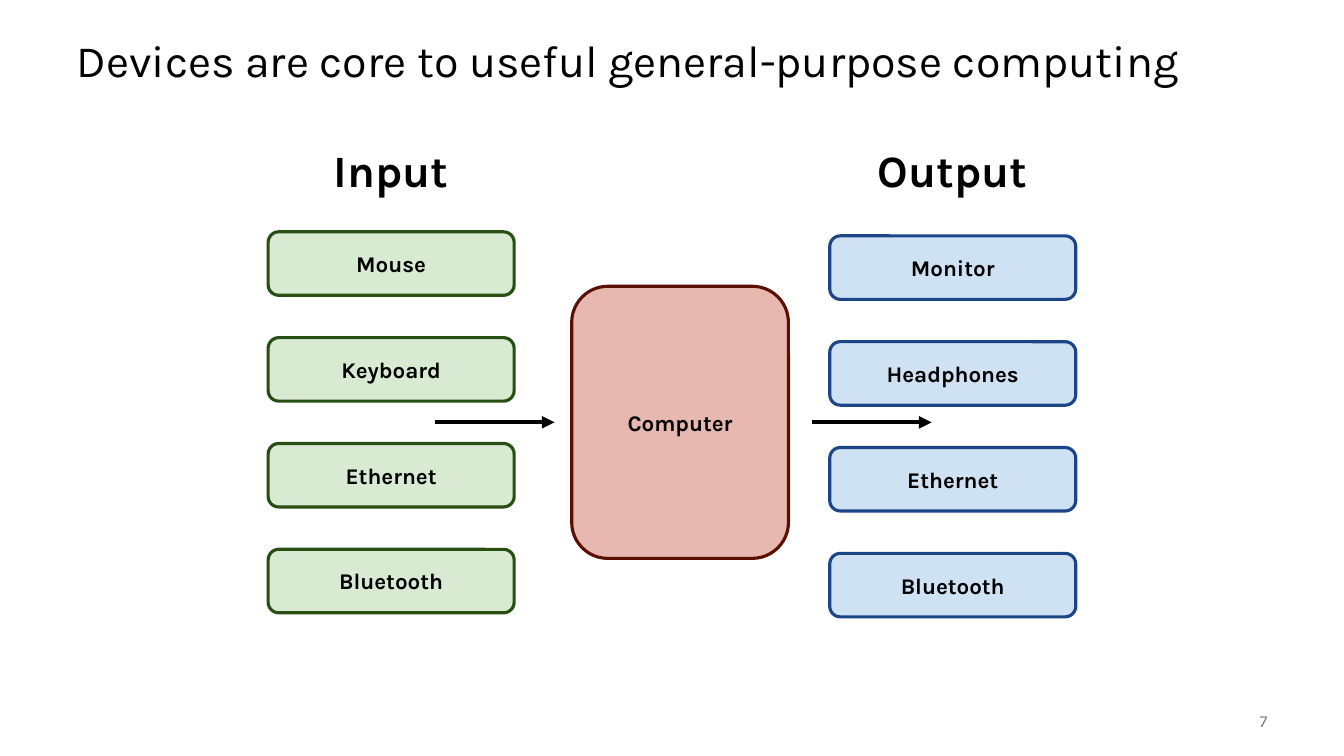
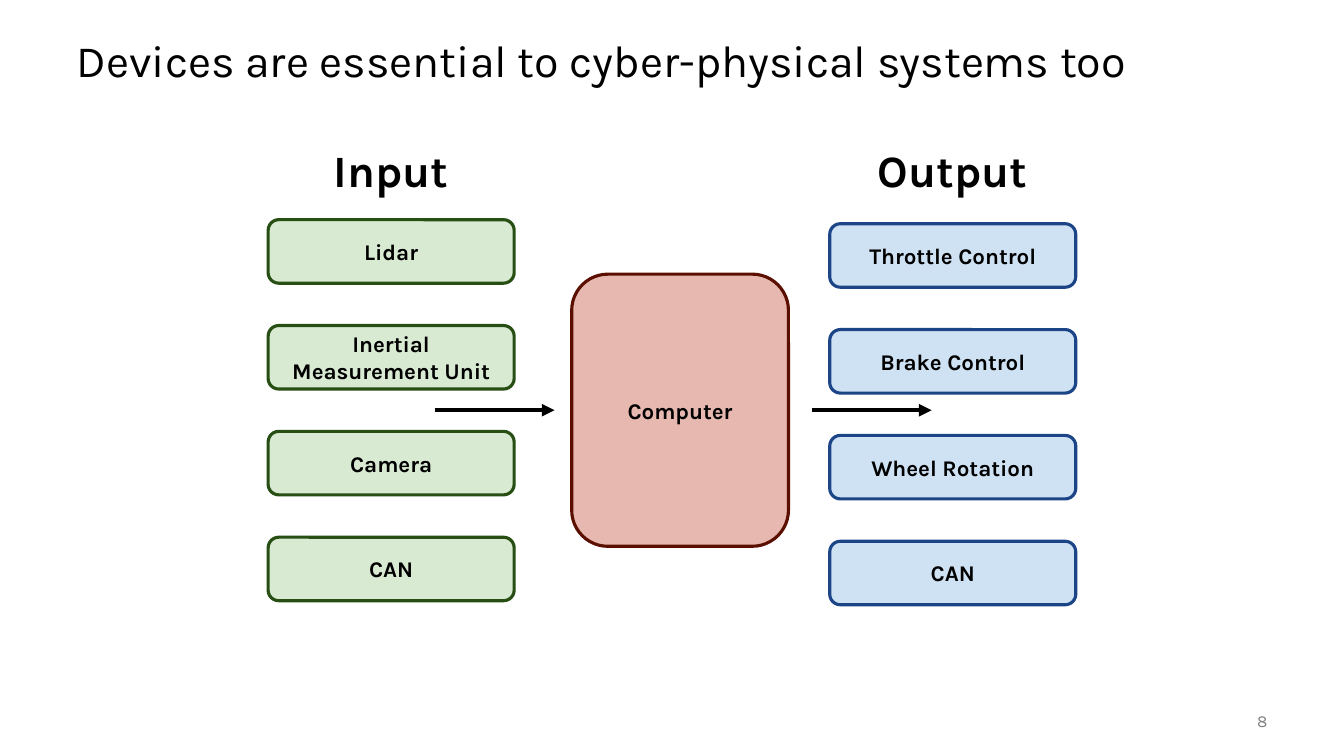
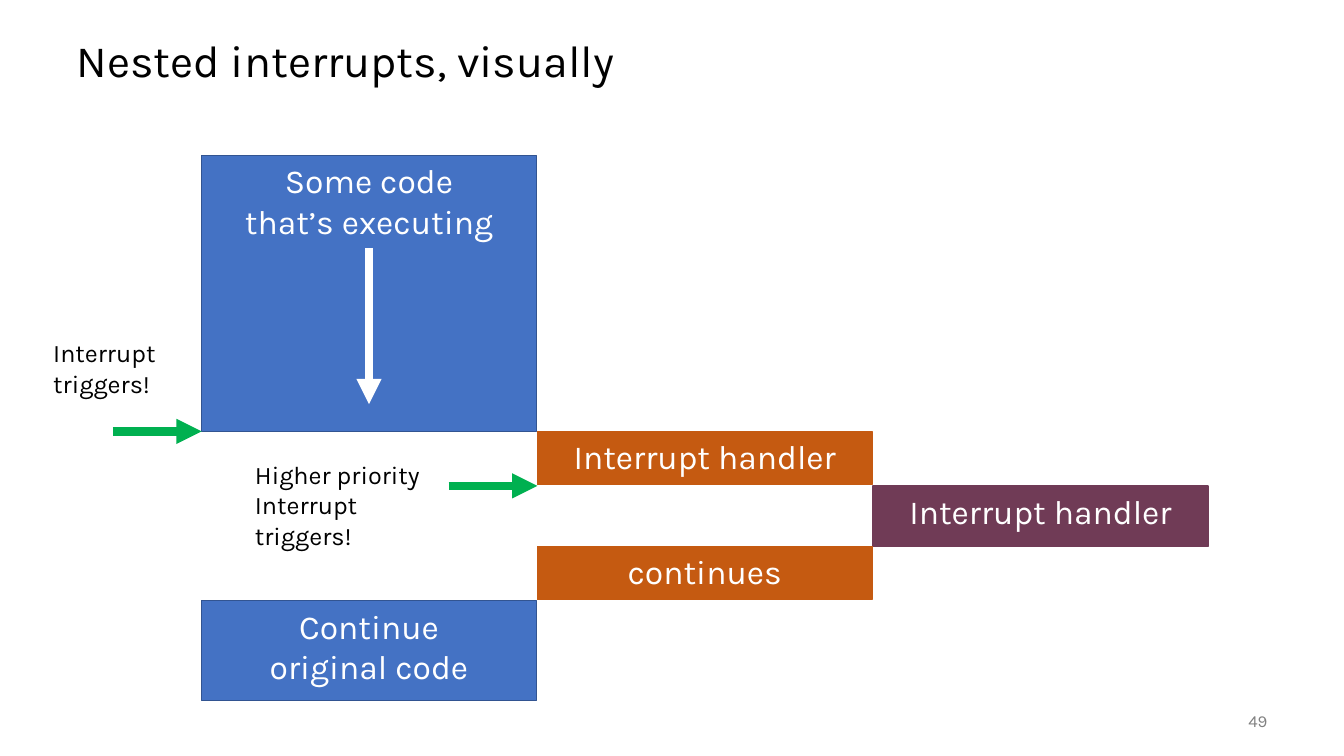
from lxml import etree
from pptx import Presentation
from pptx.dml.color import RGBColor
from pptx.enum.shapes import MSO_CONNECTOR, MSO_SHAPE
from pptx.enum.text import MSO_ANCHOR, MSO_AUTO_SIZE, PP_ALIGN
from pptx.oxml.ns import qn
from pptx.util import Inches, Pt

RECTANGLE, ROUNDED = MSO_SHAPE.RECTANGLE, MSO_SHAPE.ROUNDED_RECTANGLE
LEFT, CENTER, RIGHT = PP_ALIGN.LEFT, PP_ALIGN.CENTER, PP_ALIGN.RIGHT
TOP, MIDDLE = MSO_ANCHOR.TOP, MSO_ANCHOR.MIDDLE

FONT = "Karla"
BLACK, WHITE, GRAY = "000000", "FFFFFF", "808080"
# Fill and line of each kind of box
INPUT_COLORS = ("D9EAD3", "274E13")
OUTPUT_COLORS = ("CFE2F3", "1C4587")
COMPUTER_COLORS = ("E6B8AF", "5B0F00")
CODE_COLORS = ("4472C4", "325491")
HANDLER_COLORS = ("C55A11", "C55A11")
URGENT_COLORS = ("703B56", "703B56")
TRIGGER_GREEN = "00B050"

TITLE_BOX = (0.66, 0.25, 12, 0.75)
NUMBER_BOX = (11.67, 6.95, 1, 0.4)


def color(hex_string):
    return RGBColor.from_string(hex_string)


def inches(values):
    return [Inches(value) for value in values]


def write(shape, text, size=16, ink=BLACK, bold=False, align=LEFT,
          anchor=TOP, spacing=None, inset=0.05):
    """Fill a shape with text, one paragraph for each line."""
    frame = shape.text_frame
    frame.text = text
    frame.word_wrap = True
    frame.auto_size = MSO_AUTO_SIZE.NONE
    frame.vertical_anchor = anchor
    frame.margin_top = frame.margin_bottom = Inches(inset)
    for paragraph in frame.paragraphs:
        paragraph.alignment = align
        if spacing:
            paragraph.line_spacing = spacing
        for run in paragraph.runs:
            run.font.name = FONT
            run.font.size = Pt(size)
            run.font.bold = bold
            run.font.color.rgb = color(ink)


def add_label(slide, box, text, **text_format):
    write(slide.shapes.add_textbox(*inches(box)), text, **text_format)


def add_box(slide, kind, box, colors, text, line_width, **text_format):
    shape = slide.shapes.add_shape(kind, *inches(box))
    shape.shadow.inherit = False
    fill, line = colors
    shape.fill.solid()
    shape.fill.fore_color.rgb = color(fill)
    shape.line.color.rgb = color(line)
    shape.line.width = Pt(line_width)
    write(shape, text, align=CENTER, **text_format)


def add_arrow(slide, start, end, ink, width):
    arrow = slide.shapes.add_connector(
        MSO_CONNECTOR.STRAIGHT, *inches(start + end))
    arrow.line.color.rgb = color(ink)
    arrow.line.width = Pt(width)
    etree.SubElement(arrow.line._get_or_add_ln(), qn("a:tailEnd"), type="triangle")
    etree.SubElement(arrow._element.spPr, qn("a:effectLst"))


def add_slide(presentation, layout, title, number):
    slide = presentation.slides.add_slide(layout)
    write(slide.shapes.title, title, size=32, anchor=MIDDLE, spacing=0.9)
    add_label(slide, NUMBER_BOX, str(number), size=12, ink=GRAY,
              align=RIGHT, anchor=MIDDLE)
    return slide


def add_device_column(slide, left, top, heading, devices, colors):
    width, height, pitch = 2.44, 0.63, 1.05
    add_label(slide, (left, 1.37, width, 0.64), heading,
              size=32, bold=True, align=CENTER)
    for index, device in enumerate(devices):
        add_box(slide, ROUNDED, (left, top + index * pitch, width, height),
                colors, device, 2.25, bold=True, anchor=MIDDLE, inset=0.1)


def add_device_diagram(slide, left, top, inputs, outputs):
    """Input devices, the computer and output devices, from left to right."""
    add_box(slide, ROUNDED, (left + 3.01, top + 0.54, 2.15, 2.7),
            COMPUTER_COLORS, "Computer", 2.25, bold=True, anchor=MIDDLE, inset=0.1)
    add_device_column(slide, left, top, "Input", inputs, INPUT_COLORS)
    add_device_column(slide, left + 5.57, top + 0.04, "Output", outputs, OUTPUT_COLORS)
    for offset in (1.65, 5.39):
        start, level = left + offset, top + 1.89
        add_arrow(slide, (start, level), (start + 1.19, level), BLACK, 3)


def add_interrupt_timeline(slide, left, top):
    """One column for each priority, with time running downwards."""
    width = 3.32
    blocks = [  # column, offset from top, height, colors, text
        (0, 0, 2.74, CODE_COLORS, "Some code\nthat’s executing"),
        (1, 2.74, 0.53, HANDLER_COLORS, "Interrupt handler"),
        (2, 3.28, 0.6, URGENT_COLORS, "Interrupt handler"),
        (1, 3.88, 0.53, HANDLER_COLORS, "continues"),
        (0, 4.42, 0.99, CODE_COLORS, "Continue\noriginal code"),
    ]
    for column, offset, height, colors, text in blocks:
        add_box(slide, RECTANGLE,
                (left + column * (width + 0.01), top + offset, width, height),
                colors, text, 1, size=24, ink=WHITE)

    # Progress of the running code
    middle = left + width / 2
    add_arrow(slide, (middle, top + 0.92), (middle, top + 2.47), WHITE, 6)

    # Triggers, each pointing at the moment its handler starts
    triggers = [  # tip of the arrow, label box, text
        ((left, top + 2.74), (left - 1.57, top + 1.76, 1.57, 0.71),
         "Interrupt triggers!"),
        ((left + width + 0.01, top + 3.28), (left + 0.43, top + 2.97, 2.22, 0.71),
         "Higher priority\nInterrupt triggers!"),
    ]
    for (tip, level), label_box, text in triggers:
        add_arrow(slide, (tip - 0.88, level), (tip, level), TRIGGER_GREEN, 6)
        add_label(slide, label_box, text, size=18)


def main():
    presentation = Presentation()
    presentation.slide_width, presentation.slide_height = inches((13.33, 7.5))

    # Shared title position
    layout = presentation.slide_layouts.get_by_name("Title Only")
    title = layout.placeholders[0]
    title.left, title.top, title.width, title.height = inches(TITLE_BOX)

    slide = add_slide(presentation, layout,
                      "Devices are core to useful general-purpose computing", 7)
    add_device_diagram(slide, 2.66, 2.3,
                       ["Mouse", "Keyboard", "Ethernet", "Bluetooth"],
                       ["Monitor", "Headphones", "Ethernet", "Bluetooth"])

    slide = add_slide(presentation, layout,
                      "Devices are essential to cyber-physical systems too", 8)
    add_device_diagram(slide, 2.66, 2.18,
                       ["Lidar", "Inertial Measurement Unit", "Camera", "CAN"],
                       ["Throttle Control", "Brake Control", "Wheel Rotation", "CAN"])

    slide = add_slide(presentation, layout, "Nested interrupts, visually", 49)
    add_interrupt_timeline(slide, 2, 1.54)

    presentation.save("out.pptx")


if __name__ == "__main__":
    main()
